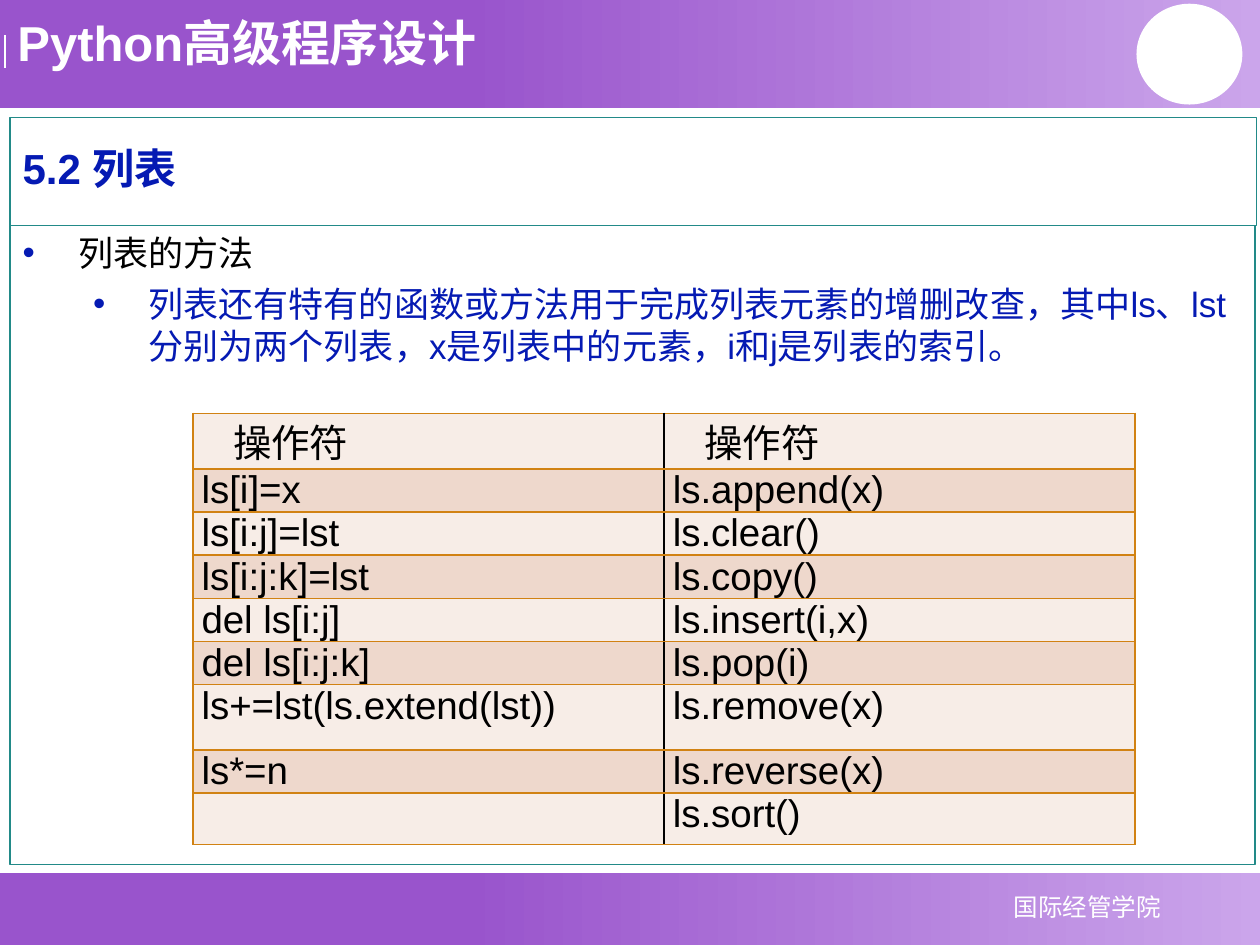
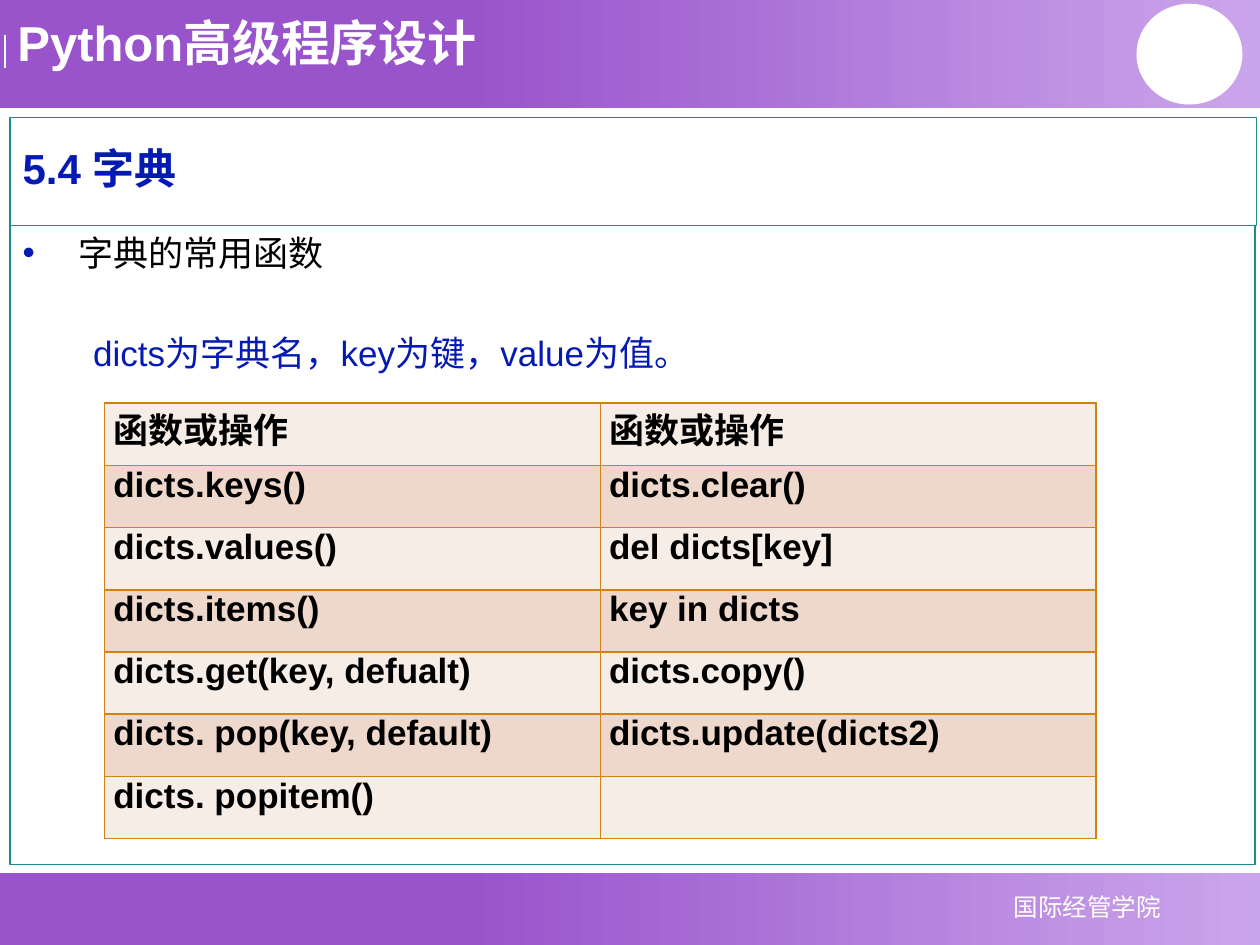
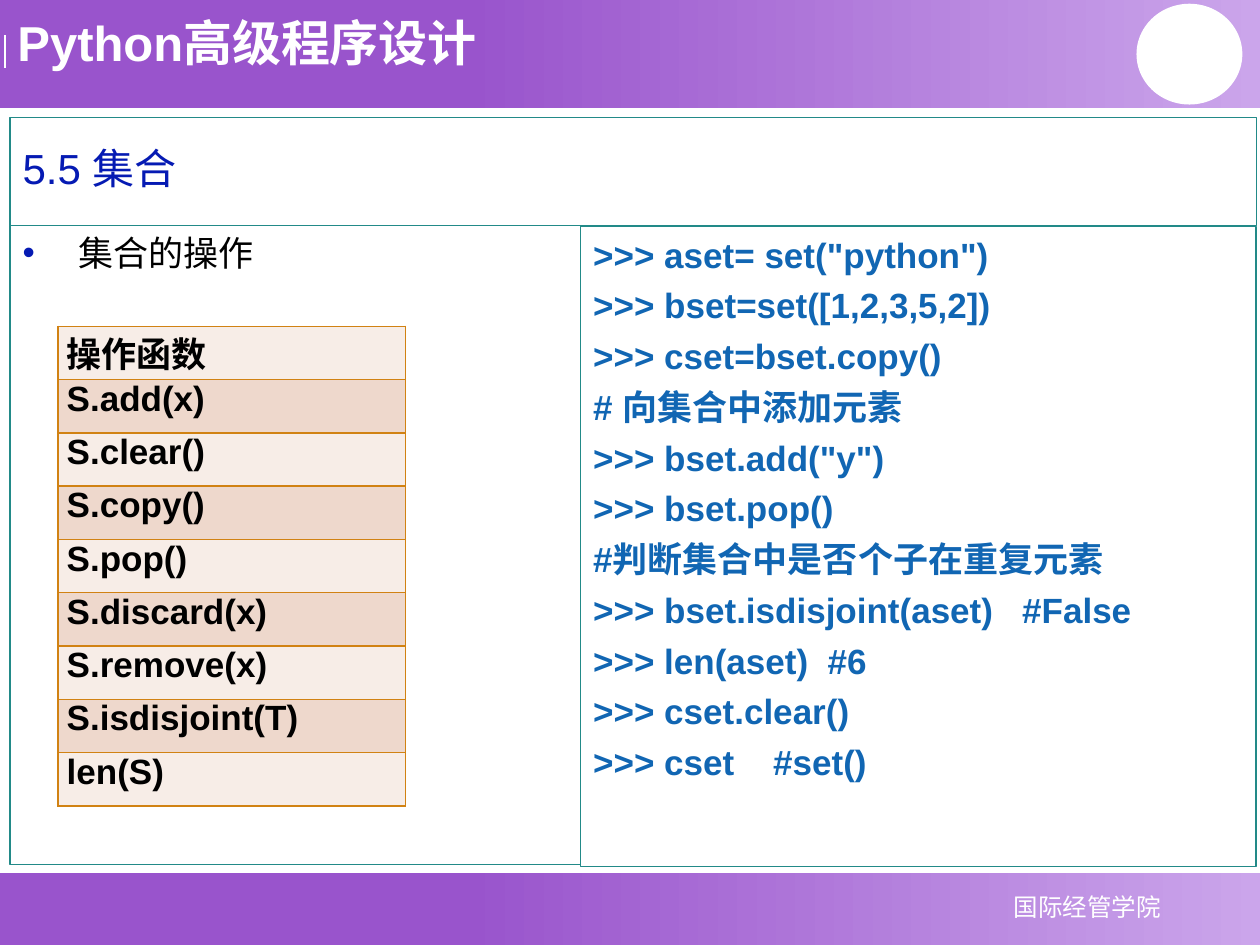
"""Build three Python course slides on lists, dictionaries and sets."""
import lxml.etree
import pptx
import pptx.dml.color
import pptx.enum.shapes
import pptx.enum.text
import pptx.oxml.ns
import pptx.util

Pt, qn = pptx.util.Pt, pptx.oxml.ns.qn
ALIGN, ANCHOR = pptx.enum.text.PP_ALIGN, pptx.enum.text.MSO_ANCHOR
NO_FIT = pptx.enum.text.MSO_AUTO_SIZE.NONE
SHAPE = pptx.enum.shapes.MSO_SHAPE
rgb = pptx.dml.color.RGBColor.from_string

PURPLE, LILAC, WHITE, BLACK = "9954CC", "CBA5EB", "FFFFFF", "000000"
BLUE, CODE_BLUE, TEAL, ORANGE = "051AB3", "1166B3", "228A88", "D18213"
BANDS = ["F7EDE7", "EED8CC"]

prs = pptx.Presentation()
prs.slide_width, prs.slide_height = pptx.util.Inches(10), pptx.util.Inches(7.5)
COL, ROW = prs.slide_width / 100, prs.slide_height / 75


def box(x, y, w, h):
    """Turn grid columns and rows into slide lengths."""
    return [round(x * COL), round(y * ROW), round(w * COL), round(h * ROW)]


def write(p, text, color, font, **spacing):
    """Add a run to a paragraph with its font and paragraph format."""
    for name, value in spacing.items():
        setattr(p, name, value)
    r = p.add_run()
    r.text = text
    r.font.color.rgb = rgb(color)
    for name, value in {"name": "Arial", "bold": False, **font}.items():
        setattr(r.font, name, value)


topics = [
    {
        "title": "5.2 列表", "bold": True, "body_cols": 98.8,
        "body": [
            ("列表的方法", 0, BLACK, 0),
            ("列表还有特有的函数或方法用于完成列表元素的增删改查，其中ls、lst分别为两个列表，"
             "x是列表中的元素，i和j是列表的索引。", 1, BLUE, 0),
        ],
        "bulleted": 2, "table": (15.3, 32.8, 74.8), "divider": BLACK,
        "heights": [3.3] * 6 + [5.2, 3.3, 4.1], "head_indent": 2.5,
        "font": {"size": Pt(22)},
        "rows": [
            ("操作符", "操作符"),
            ("ls[i]=x", "ls.append(x)"),
            ("ls[i:j]=lst", "ls.clear()"),
            ("ls[i:j:k]=lst", "ls.copy()"),
            ("del ls[i:j]", "ls.insert(i,x)"),
            ("del ls[i:j:k]", "ls.pop(i)"),
            ("ls+=lst(ls.extend(lst))", "ls.remove(x)"),
            ("ls*=n", "ls.reverse(x)"),
            ("", "ls.sort()"),
        ],
        "code": [],
    },
    {
        "title": "5.4 字典", "bold": True, "body_cols": 98.8,
        "body": [
            ("字典的常用函数", 0, BLACK, 0),
            ("dicts为字典名，key为键，value为值。", 1, BLUE, 28),
        ],
        "bulleted": 1, "table": (8.3, 32, 78.7), "divider": ORANGE,
        "heights": [4.94] * 7, "head_indent": 0,
        "font": {"size": Pt(20), "bold": True},
        "rows": [
            ("函数或操作", "函数或操作"),
            ("dicts.keys()", "dicts.clear()"),
            ("dicts.values()", "del dicts[key]"),
            ("dicts.items()", "key in dicts"),
            ("dicts.get(key, defualt)", "dicts.copy()"),
            ("dicts. pop(key, default)", "dicts.update(dicts2)"),
            ("dicts. popitem()", ""),
        ],
        "code": [],
    },
    {
        "title": "5.5 集合", "bold": False, "body_cols": 45.3,
        "body": [("集合的操作", 0, BLACK, 0)],
        "bulleted": 1, "table": (4.6, 25.9, 27.6), "divider": ORANGE,
        "heights": [4.23] * 9, "head_indent": 0,
        "font": {"size": Pt(20), "bold": True},
        "rows": [
            ("操作函数",), ("S.add(x)",), ("S.clear()",), ("S.copy()",), ("S.pop()",),
            ("S.discard(x)",), ("S.remove(x)",), ("S.isdisjoint(T)",), ("len(S)",),
        ],
        "code": [
            '>>> aset= set("python")',
            ">>> bset=set([1,2,3,5,2])",
            ">>> cset=bset.copy()",
            "# 向集合中添加元素",
            '>>> bset.add("y")',
            ">>> bset.pop()",
            "#判断集合中是否个子在重复元素",
            ">>> bset.isdisjoint(aset)   #False",
            ">>> len(aset)  #6",
            ">>> cset.clear()",
            ">>> cset    #set()",
        ],
    },
]

layout = prs.slide_layouts[1]
for sp in list(layout.placeholders)[2:]:
    sp.element.getparent().remove(sp.element)
slides = [prs.slides.add_slide(layout) for topic in topics]

shapes = slides[0].shapes
shared = []
for kind, place in [
    (SHAPE.RECTANGLE, (0, 69.3, 100, 5.7)),
    (SHAPE.RECTANGLE, (0, 0, 100, 8.6)),
    (SHAPE.OVAL, (90.2, 0.3, 8.4, 8)),
]:
    sp = shapes.add_shape(kind, *box(*place))
    sp.shadow.inherit = False
    sp.line.fill.background()
    if kind == SHAPE.OVAL:
        sp.fill.solid()
        sp.fill.fore_color.rgb = rgb(WHITE)
    else:
        sp.fill.gradient()
        sp.fill.gradient_angle = 0
        for stop, position, color in zip(sp.fill.gradient_stops, [0.37, 1], [PURPLE, LILAC]):
            stop.position = position
            stop.color.rgb = rgb(color)
    shared.append(sp)

x, top, _, height = box(0.4, 2.8, 0, 2.6)
tick = shapes.add_connector(pptx.enum.shapes.MSO_CONNECTOR.STRAIGHT, x, top, x, top + height)
tick.line.color.rgb = rgb(WHITE)
tick.line.width = Pt(0.75)
lxml.etree.SubElement(tick.element.spPr, qn("a:effectLst"))
shared.append(tick)

for text, place, size, bold, align, anchor in [
    ("国际经管学院", (74.7, 70.3, 23.2, 3.4), 14, False, ALIGN.CENTER, ANCHOR.MIDDLE),
    ("Python高级程序设计", (0.4, 0.5, 41, 5.7), 28, True, ALIGN.LEFT, ANCHOR.TOP),
]:
    sp = shapes.add_textbox(*box(*place))
    tf = sp.text_frame
    tf.word_wrap = True
    tf.vertical_anchor = anchor
    write(tf.paragraphs[0], text, WHITE, {"size": Pt(size), "bold": bold}, alignment=align)
    shared.append(sp)

for i, sp in enumerate(shared):
    layout.shapes.element.insert(2 + i, sp.element)

for s, topic in zip(slides, topics):
    title, body = s.placeholders
    framed = [
        (title, (0.8, 9.3, 98.9, 8.6), ANCHOR.MIDDLE),
        (body, (0.8, 17.9, topic["body_cols"], 50.7), ANCHOR.TOP),
    ]
    if topic["code"]:
        code = s.shapes.add_textbox(0, 0, 0, 0)
        framed.append((code, (46.1, 18, 53.6, 50.8), ANCHOR.TOP))
    for sp, place, anchor in framed:
        sp.left, sp.top, sp.width, sp.height = box(*place)
        sp.line.color.rgb = rgb(TEAL)
        sp.line.width = Pt(0.75)
        tf = sp.text_frame
        for name, value in {"word_wrap": True, "auto_size": NO_FIT, "vertical_anchor": anchor}.items():
            setattr(tf, name, value)

    write(title.text_frame.paragraphs[0], topic["title"], BLUE,
          {"size": Pt(24), "bold": topic["bold"]}, alignment=ALIGN.LEFT, line_spacing=0.9)

    tf = body.text_frame
    for i, (text, level, color, before) in enumerate(topic["body"]):
        p = tf.add_paragraph() if i else tf.paragraphs[0]
        pPr = p._p.get_or_add_pPr()
        hang = 4.4 if i < topic["bulleted"] else 0
        pPr.set("marL", str(round((5.6 * level + hang) * COL)))
        pPr.set("indent", str(round(-hang * COL)))
        if hang:
            color_el = lxml.etree.SubElement(pPr, qn("a:buClr"))
            lxml.etree.SubElement(color_el, qn("a:srgbClr"), val=BLUE)
            lxml.etree.SubElement(pPr, qn("a:buFont"), typeface="Arial")
            lxml.etree.SubElement(pPr, qn("a:buChar"), char="•")
        else:
            lxml.etree.SubElement(pPr, qn("a:buNone"))
        write(p, text, color, {"size": Pt(20)}, level=level,
              space_before=Pt(before), space_after=Pt(5))

    for i, text in enumerate(topic["code"]):
        tf = code.text_frame
        p = tf.add_paragraph() if i else tf.paragraphs[0]
        write(p, text, CODE_BLUE, {"size": Pt(20), "bold": True}, space_after=Pt(5))

    rows, heights = topic["rows"], topic["heights"]
    n_cols = len(rows[0])
    table = s.shapes.add_table(len(rows), n_cols, *box(*topic["table"], sum(heights))).table
    table.first_row = table.horz_banding = False
    for i, (texts, height) in enumerate(zip(rows, heights)):
        table.rows[i].height = round(height * ROW)
        for j, text in enumerate(texts):
            cell = table.cell(i, j)
            for name, value in {"margin_left": 0.7, "margin_right": 0.7,
                                "margin_top": 0, "margin_bottom": 0}.items():
                setattr(cell, name, round(value * COL))
            edges = {"L": j > 0, "R": j < n_cols - 1, "T": False, "B": False}
            for side, inner in edges.items():
                ln = lxml.etree.SubElement(cell._tc.get_or_add_tcPr(), qn("a:ln" + side), w=str(Pt(1)))
                line_fill = lxml.etree.SubElement(ln, qn("a:solidFill"))
                color = topic["divider"] if inner else ORANGE
                lxml.etree.SubElement(line_fill, qn("a:srgbClr"), val=color)
            cell.fill.solid()
            cell.fill.fore_color.rgb = rgb(BANDS[i % 2])
            if text:
                p = cell.text_frame.paragraphs[0]
                write(p, text, BLACK, topic["font"], alignment=ALIGN.JUSTIFY)
                if i == 0:
                    p._p.get_or_add_pPr().set("indent", str(round(topic["head_indent"] * COL)))

prs.save("out.pptx")
